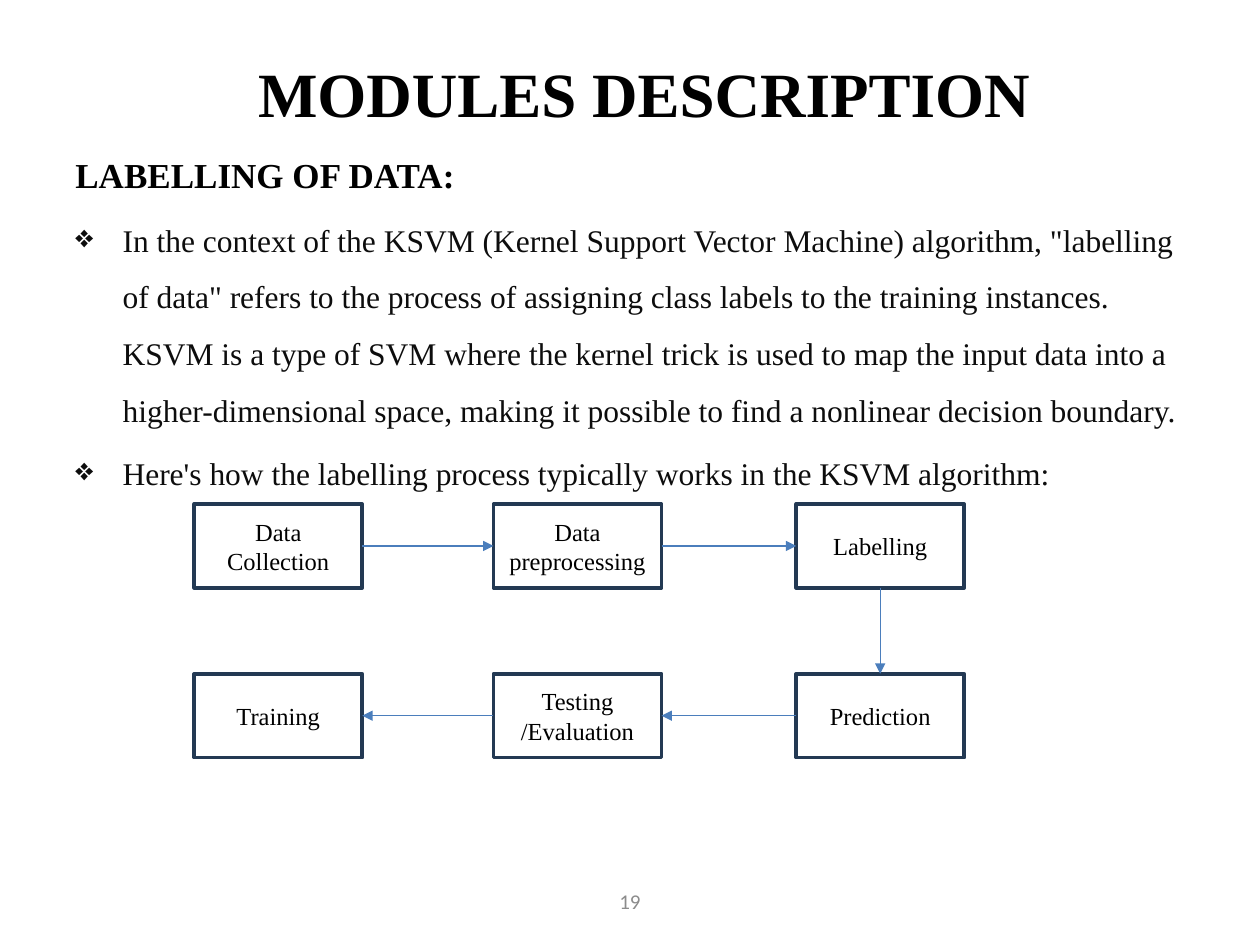
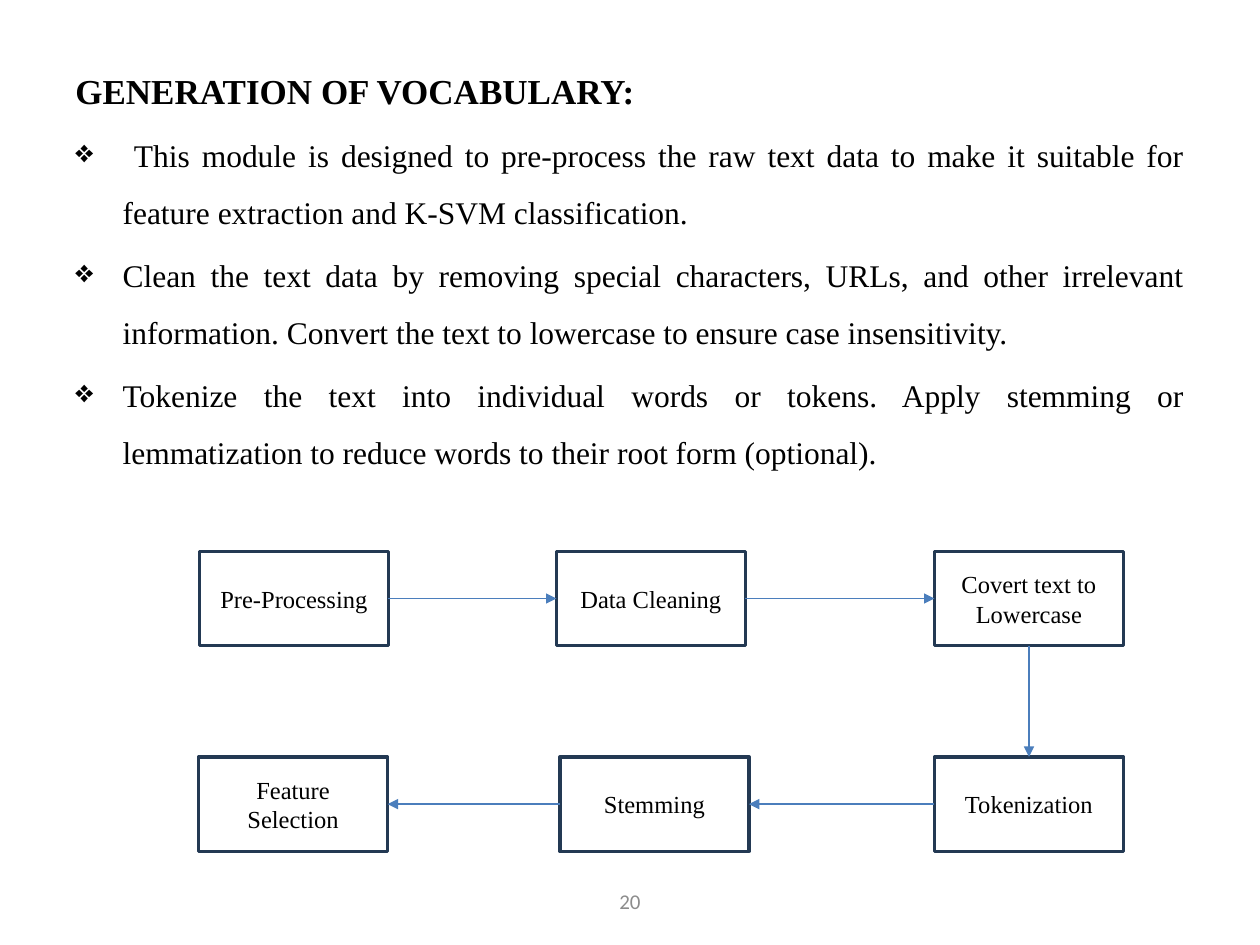
from lxml import etree
from pptx import Presentation
from pptx.dml.color import RGBColor
from pptx.enum import shapes, text
from pptx.oxml.ns import qn
from pptx.util import Pt

SERIF, SANS = "Times New Roman", "Calibri"
BLACK, SOFT_BLACK, GREY = "000000", "0D0D0D", "8C8C8C"
WHITE, NAVY, BLUE = "FFFFFF", "233953", "4B7EBC"
TITLE_ONLY, BLANK = 5, 6
INDENT = 27
TOP, LEFT, BOTTOM, RIGHT = range(4)  # connection sites of a rectangle


def color(hex_value):
    return RGBColor.from_string(hex_value)


def style(paragraph, size, hex_value=BLACK, font=SERIF, bold=False,
          align=text.PP_ALIGN.CENTER):
    paragraph.alignment = align
    paragraph.font.name = font
    paragraph.font.size = Pt(size)
    paragraph.font.bold = bold
    paragraph.font.color.rgb = color(hex_value)


def add_bullet(paragraph):
    props = paragraph._p.get_or_add_pPr()
    props.set("marL", str(Pt(INDENT)))
    props.set("indent", str(Pt(-INDENT)))
    etree.SubElement(props, qn("a:buChar")).set("char", "❖")


def add_title(slide, wording, box):
    title = slide.shapes.title
    title.left, title.top, title.width, title.height = map(Pt, box)
    title.text_frame.text = wording
    title.text_frame.vertical_anchor = text.MSO_ANCHOR.MIDDLE
    style(title.text_frame.paragraphs[0], 36, bold=True)


def add_body(slide, box, heading, points, align, point_color=BLACK,
             heading_spacing=1.0):
    """Place a bold heading with bulleted points below it."""
    frame = slide.shapes.add_textbox(*map(Pt, box)).text_frame
    frame.word_wrap = True
    first = frame.paragraphs[0]
    first.text = heading
    first.line_spacing = heading_spacing
    first.space_before = Pt(4)
    style(first, 20, bold=True, align=align)
    for point in points:
        paragraph = frame.add_paragraph()
        paragraph.text = point
        paragraph.line_spacing = 1.5
        paragraph.space_before = Pt(3.6)
        add_bullet(paragraph)
        style(paragraph, 18, point_color, align=align)


def add_step(slide, label, box):
    step = slide.shapes.add_shape(shapes.MSO_SHAPE.RECTANGLE, *map(Pt, box))
    step.shadow.inherit = False
    step.fill.solid()
    step.fill.fore_color.rgb = color(WHITE)
    step.line.color.rgb = color(NAVY)
    step.line.width = Pt(2)
    step.text_frame.text = label
    step.text_frame.vertical_anchor = text.MSO_ANCHOR.MIDDLE
    style(step.text_frame.paragraphs[0], 14)
    return step


def add_arrow(slide, source, source_site, target, target_site):
    arrow = slide.shapes.add_connector(shapes.MSO_CONNECTOR.STRAIGHT, 0, 0, 0, 0)
    arrow.begin_connect(source, source_site)
    arrow.end_connect(target, target_site)
    arrow.line.color.rgb = color(BLUE)
    arrow.line.width = Pt(0.75)
    props = arrow._element.spPr
    etree.SubElement(props.find(qn("a:ln")), qn("a:tailEnd")).set("type", "triangle")
    etree.SubElement(props, qn("a:effectLst"))


def add_flow(slide, origin, step_size, row_pitch, upper, lower):
    """Draw steps running right along the upper row, then back along the lower.

    Each row lists (label, offset from the left of the origin).
    """
    left, top = origin
    rows = [[add_step(slide, label, (left + offset, top + index * row_pitch, *step_size))
             for label, offset in row]
            for index, row in enumerate((upper, lower))]
    for row, exit_site, entry_site in zip(rows, (RIGHT, LEFT), (LEFT, RIGHT)):
        for source, target in zip(row, row[1:]):
            add_arrow(slide, source, exit_site, target, entry_site)
    add_arrow(slide, rows[0][-1], BOTTOM, rows[1][0], TOP)


def add_page_number(slide, number):
    frame = slide.shapes.add_textbox(Pt(246), Pt(500.5), Pt(228), Pt(28.75)).text_frame
    frame.word_wrap = True
    frame.vertical_anchor = text.MSO_ANCHOR.MIDDLE
    frame.text = str(number)
    style(frame.paragraphs[0], 12, GREY, SANS)


def labelling_slide(deck):
    slide = deck.slides.add_slide(deck.slide_layouts[TITLE_ONLY])
    add_title(slide, "MODULES DESCRIPTION", (44, 21.5, 648, 63))
    add_body(
        slide, (36, 84.25, 648, 421), "LABELLING OF DATA:",
        ["In the context of the KSVM (Kernel Support Vector Machine) algorithm, "
         "\"labelling of data\" refers to the process of assigning class labels to the "
         "training instances. KSVM is a type of SVM where the kernel trick is used to map "
         "the input data into a higher-dimensional space, making it possible to find a "
         "nonlinear decision boundary.",
         "Here's how the labelling process typically works in the KSVM algorithm:"],
        text.PP_ALIGN.LEFT, SOFT_BLACK)
    add_flow(
        slide, (111, 288), (96, 48), 97,
        [("Data Collection", 0), ("Data preprocessing", 171), ("Labelling", 344)],
        [("Prediction", 344), ("Testing /Evaluation", 171), ("Training", 0)])
    add_page_number(slide, 19)


def vocabulary_slide(deck):
    slide = deck.slides.add_slide(deck.slide_layouts[BLANK])
    add_body(
        slide, (36, 24, 648, 442), "GENERATION OF VOCABULARY:",
        [" This module is designed to pre-process the raw text data to make it suitable "
         "for feature extraction and K-SVM classification.",
         "Clean the text data by removing special characters, URLs, and other irrelevant "
         "information. Convert the text to lowercase to ensure case insensitivity.",
         "Tokenize the text into individual words or tokens. Apply stemming or "
         "lemmatization to reduce words to their root form (optional)."],
        text.PP_ALIGN.JUSTIFY, heading_spacing=1.5)
    add_flow(
        slide, (114, 315), (108, 54), 117.5,
        [("Pre-Processing", 0), ("Data Cleaning", 204), ("Covert text to Lowercase", 420)],
        [("Tokenization", 420), ("Stemming", 206), ("Feature Selection", -0.5)])
    add_page_number(slide, 20)


def main():
    deck = Presentation()
    deck.slide_width, deck.slide_height = Pt(720), Pt(540)
    labelling_slide(deck)
    vocabulary_slide(deck)
    deck.save("out.pptx")


if __name__ == "__main__":
    main()
